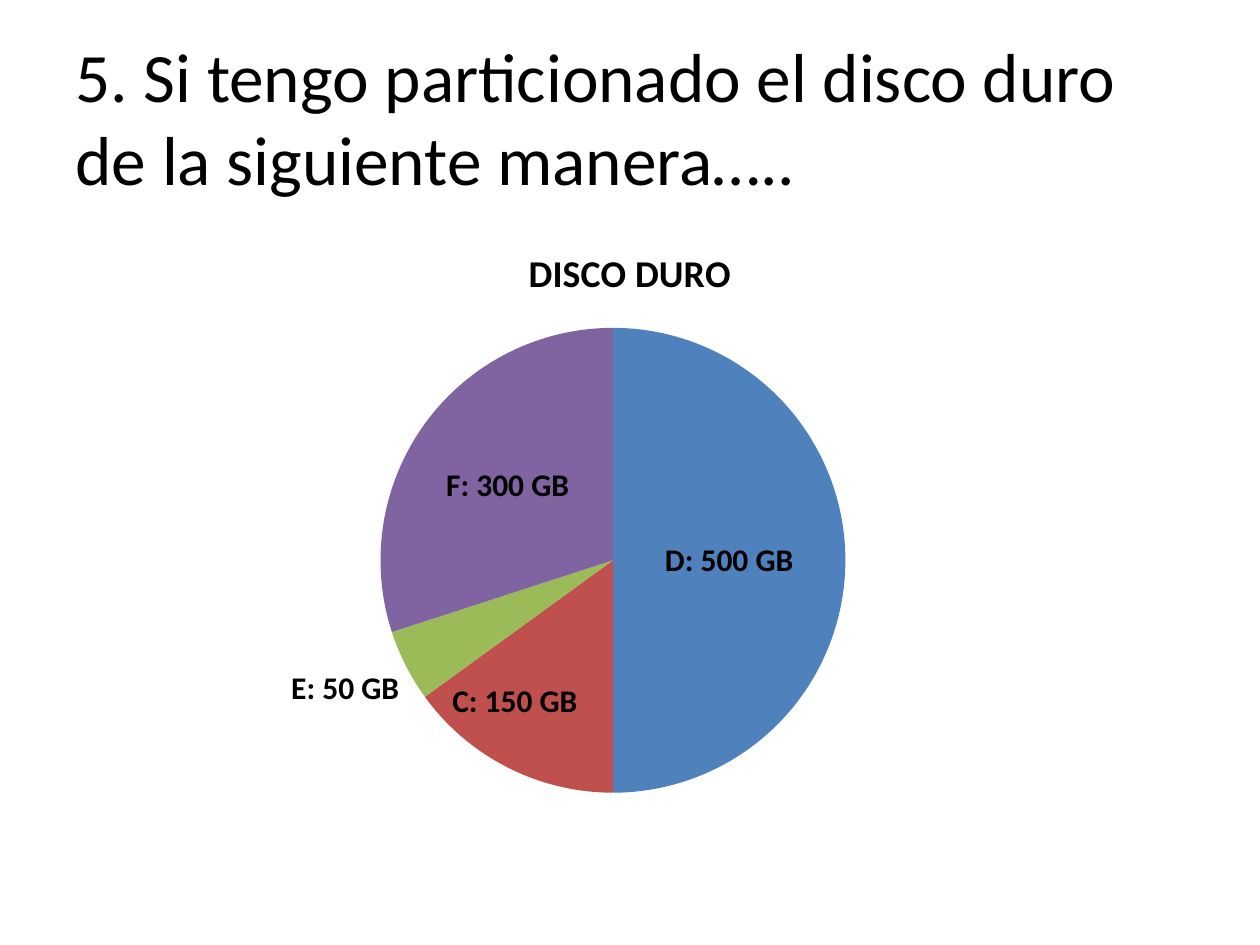
from lxml.etree import SubElement
from pptx import Presentation
from pptx.chart.data import CategoryChartData
from pptx.dml.color import RGBColor
from pptx.enum.chart import XL_CHART_TYPE, XL_LABEL_POSITION
from pptx.enum.text import MSO_ANCHOR, PP_ALIGN
from pptx.oxml.ns import qn
from pptx.util import Inches, Pt

WIDTH, HEIGHT, MARGIN = 10, 7.5, 0.5
FONT = "Calibri"
PARTITIONS = [
    ("D: 500 GB", 50, "4F81BD", XL_LABEL_POSITION.CENTER, None),
    ("C: 150 GB", 15, "C0504D", XL_LABEL_POSITION.CENTER, (-0.04, 0.06)),
    ("E: 50 GB", 5, "9BBB59", XL_LABEL_POSITION.OUTSIDE_END, None),
    ("F: 300 GB", 30, "8064A2", XL_LABEL_POSITION.CENTER, (-0.01, -0.01)),
]


def color(value):
    return RGBColor.from_string(value)


def style_font(font, size, bold=False):
    font.name = FONT
    font.size = Pt(size)
    font.bold = bold
    font.color.rgb = color("000000")


def content_box(top, height):
    return [Inches(length) for length in (MARGIN, top, WIDTH - 2 * MARGIN, height)]


def set_layout(parent, index, settings):
    for layout in parent.findall(qn("c:layout")):
        parent.remove(layout)
    layout = SubElement(parent, qn("c:layout"))
    parent.insert(index, layout)
    manual = SubElement(layout, qn("c:manualLayout"))
    for name, value in settings.items():
        SubElement(manual, qn("c:" + name)).set("val", str(value))


def add_title(slide, text):
    title = slide.shapes.title
    title.left, title.top, title.width, title.height = content_box(0.3, 1.25)
    frame = title.text_frame
    frame.text = text
    frame.word_wrap = True
    frame.vertical_anchor = MSO_ANCHOR.MIDDLE
    paragraph = frame.paragraphs[0]
    paragraph.alignment = PP_ALIGN.LEFT
    style_font(paragraph.runs[0].font, 39.6)


def format_slice(point, text, fill, position, offset):
    point.format.fill.solid()
    point.format.fill.fore_color.rgb = color(fill)
    point.format.line.fill.background()
    label = point.data_label
    label.text_frame.text = text
    style_font(label.text_frame.paragraphs[0].runs[0].font, 18, True)
    label.position = position
    if offset:
        element = label._get_or_add_dLbl()
        set_layout(element, 1, {"x": offset[0], "y": offset[1]})


def add_pie(slide, title):
    data = CategoryChartData()
    data.categories = [str(number + 1) for number in range(len(PARTITIONS))]
    data.add_series("Series 1", [partition[1] for partition in PARTITIONS])
    frame = slide.shapes.add_chart(XL_CHART_TYPE.PIE, *content_box(1.75, 4.95), data)
    chart = frame.chart
    style_font(chart.font, 18)
    chart.has_legend = False
    chart.has_title = True
    chart.chart_title.text_frame.text = title
    style_font(chart.chart_title.text_frame.paragraphs[0].runs[0].font, 21.6, True)
    chart.chart_title.include_in_layout = False
    plot = chart.plots[0]
    plot.vary_by_categories = True
    plot.has_data_labels = True
    plot.data_labels.show_percentage = True
    plot.data_labels.show_value = False
    style_font(plot.data_labels.font, 18, True)
    for index, (text, _, fill, position, offset) in enumerate(PARTITIONS):
        format_slice(plot.series[0].points[index], text, fill, position, offset)
    plot_area = chart._chartSpace.find(".//" + qn("c:plotArea"))
    set_layout(plot_area, 0, {
        "layoutTarget": "inner", "xMode": "edge", "yMode": "edge",
        "x": 0.28, "y": 0.17, "w": 0.41, "h": 0.75,
    })


def main():
    presentation = Presentation()
    presentation.slide_width = Inches(WIDTH)
    presentation.slide_height = Inches(HEIGHT)
    slide = presentation.slides.add_slide(presentation.slide_layouts[5])
    add_title(slide, "5. Si tengo particionado el disco duro de la siguiente manera…..")
    add_pie(slide, "DISCO DURO")
    presentation.save("out.pptx")


main()
